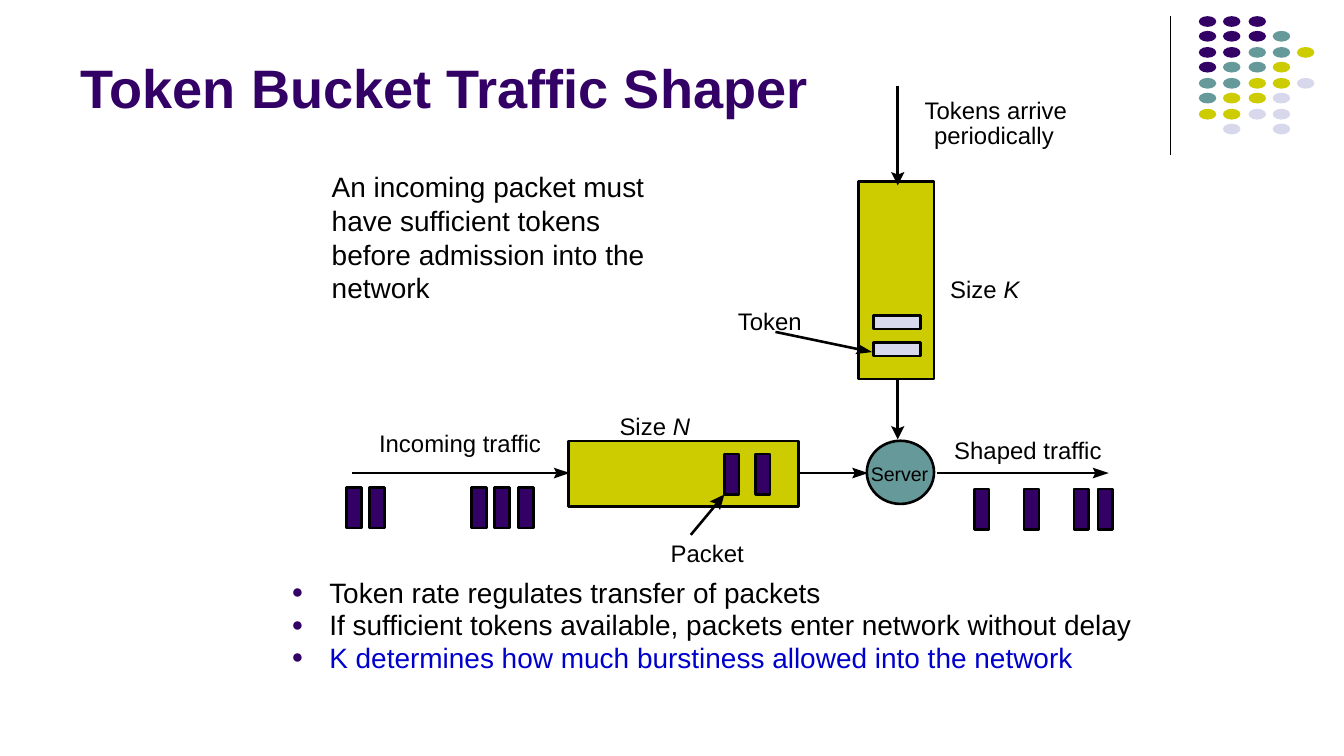
import math
from dataclasses import dataclass

import lxml.etree
import pptx
import pptx.dml.color
import pptx.enum.shapes
import pptx.enum.text
import pptx.oxml.ns
import pptx.util

SCALE = 9144
WIDTH = 1000
INK, PLUM, TEAL = "000000", "330066", "669999"
LIME, MIST, BLUE = "CCCC00", "D8D8EC", "0000CC"
LINE = 1.38
KIND = pptx.enum.shapes.MSO_SHAPE
ANCHOR = pptx.enum.text.MSO_ANCHOR
ALIGN = pptx.enum.text.PP_ALIGN
HUES = {"P": PLUM, "T": TEAL, "Y": LIME, "L": MIST}
DOTS = ["PPP", "PPPT", "PPTTY", "PTTY", "TTYYL", "TYYL", "YYLL", " L L"]


@dataclass
class Box:
    left: int
    top: int
    width: int
    height: int
    fill: str
    kind: int = KIND.RECTANGLE
    edge: bool = True


@dataclass
class Arrow:
    start: tuple[int, int]
    tip: tuple[int, int]
    length: int = 12
    half: int = 4


@dataclass
class Label:
    left: int
    top: int
    width: int
    text: str
    slant: str = ""
    size: float = 12.8


def px(count: float) -> int:
    return round(count * SCALE)


def paint(form, code: str) -> None:
    form.rgb = pptx.dml.color.RGBColor.from_string(code)


def apply(item, values: dict) -> None:
    for name, value in values.items():
        setattr(item, name, value)


def place(item, left: int, top: int, width: int, height: int) -> None:
    apply(item, {"left": px(left), "top": px(top),
                 "width": px(width), "height": px(height)})


def fill(shape, code: str) -> None:
    shape.shadow.inherit = False
    shape.fill.solid()
    paint(shape.fill.fore_color, code)
    shape.line.fill.background()


def stroke(line, width: float) -> None:
    line.width = pptx.util.Pt(width)
    paint(line.color, INK)


def write(para, text: str, size: float, code: str = INK, **style) -> None:
    run = para.add_run()
    run.text = text
    apply(run.font, {"name": "Arial", "size": pptx.util.Pt(size), **style})
    paint(run.font.color, code)


def draw_box(slide, box: Box) -> None:
    shape = slide.shapes.add_shape(
        box.kind, px(box.left), px(box.top), px(box.width), px(box.height))
    fill(shape, box.fill)
    if box.edge:
        stroke(shape.line, LINE)


def draw_line(slide, start: tuple, end: tuple, width: float) -> None:
    line = slide.shapes.add_connector(
        pptx.enum.shapes.MSO_CONNECTOR.STRAIGHT, *map(px, (*start, *end)))
    stroke(line.line, width)
    lxml.etree.SubElement(line._element.spPr, pptx.oxml.ns.qn("a:effectLst"))


def draw_arrow(slide, arrow: Arrow) -> None:
    (x, y), (tx, ty) = arrow.start, arrow.tip
    span = math.hypot(tx - x, ty - y)
    ux, uy = (tx - x) / span, (ty - y) / span

    def spot(back: float, side: float) -> tuple:
        return px(tx - ux * back - uy * side), px(ty - uy * back + ux * side)

    neck = arrow.length - 2
    draw_line(slide, arrow.start, (tx - ux * neck, ty - uy * neck), LINE)
    pen = slide.shapes.build_freeform(*spot(arrow.length, arrow.half), scale=1.0)
    pen.add_line_segments(
        [spot(neck, 0), spot(arrow.length, -arrow.half), spot(0, 0)], close=True)
    fill(pen.convert_to_shape(), INK)


def draw_label(slide, label: Label) -> None:
    item = slide.shapes.add_textbox(
        px(label.left), px(label.top), px(label.width), px(22))
    apply(item.text_frame, {
        "margin_left": 0, "margin_right": 0, "margin_top": 0,
        "margin_bottom": 0, "word_wrap": False})
    para = item.text_frame.paragraphs[0]
    write(para, label.text, label.size)
    if label.slant:
        write(para, label.slant, label.size, italic=True)


def add_mark(para) -> None:
    props = para._p.get_or_add_pPr()
    props.set("marL", str(px(28)))
    props.set("indent", str(px(-28)))
    for tag, name, value in (("buClr", "", ""), ("buSzPct", "val", "70000"),
                             ("buFont", "typeface", "Arial"),
                             ("buChar", "char", "●")):
        node = lxml.etree.SubElement(props, pptx.oxml.ns.qn("a:" + tag))
        if name:
            node.set(name, value)
        else:
            tint = lxml.etree.SubElement(node, pptx.oxml.ns.qn("a:srgbClr"))
            tint.set("val", PLUM)


def fill_text(slide) -> None:
    still = {"auto_size": pptx.enum.text.MSO_AUTO_SIZE.NONE, "word_wrap": True}
    title = slide.shapes.title
    place(title, 50, 10, 825, 84)
    apply(title.text_frame, {**still, "vertical_anchor": ANCHOR.BOTTOM})
    para = title.text_frame.paragraphs[0]
    para.alignment = ALIGN.LEFT
    write(para, "Token Bucket Traffic Shaper", 29, PLUM, bold=True)

    body = slide.placeholders[1]
    place(body, 207, 428, 675, 80)
    apply(body.text_frame, {**still, "vertical_anchor": ANCHOR.TOP})
    points = [
        ("Token rate regulates transfer of packets", INK),
        ("If sufficient tokens available, packets enter network without delay", INK),
        ("K determines how much burstiness allowed into the network", BLUE)]
    for rank, (text, code) in enumerate(points):
        para = body.text_frame.paragraphs[0] if rank == 0 else body.text_frame.add_paragraph()
        apply(para, {"line_spacing": 0.8, "space_before": pptx.util.Pt(3)})
        add_mark(para)
        write(para, text, 15, code)

    note = slide.shapes.add_textbox(px(237), px(121), px(257), px(111))
    apply(note.text_frame, {**still, "vertical_anchor": ANCHOR.MIDDLE})
    write(note.text_frame.paragraphs[0],
          "An incoming packet must have sufficient tokens before admission into the network", 15)


def main() -> None:
    deck = pptx.Presentation()
    apply(deck, {"slide_width": px(WIDTH), "slide_height": px(WIDTH * 9 / 16)})
    slide = deck.slides.add_slide(deck.slide_layouts[1])

    draw_line(slide, (871, 12), (871, 115), 0.75)
    for row, codes in enumerate(DOTS):
        for col, code in enumerate(codes):
            if code in HUES:
                draw_box(slide, Box(round(892 + 18.3 * col), round(12 + 11.45 * row),
                                    13, 8, HUES[code], KIND.OVAL, False))

    boxes = [Box(423, 328, 171, 49, LIME), Box(645, 328, 50, 47, TEAL, KIND.OVAL),
             Box(639, 135, 56, 147, LIME)]
    boxes += [Box(650, top, 35, 10, MIST) for top in (235, 255)]
    queues = {338: (539, 562), 363: (258, 275, 351, 368, 386),
              364: (725, 762, 799, 817)}
    boxes += [Box(left, top, 11, 30, PLUM)
              for top, lefts in queues.items() for left in lefts]
    for box in boxes:
        draw_box(slide, box)

    for arrow in (
            Arrow((262, 352), (424, 352)), Arrow((594, 352), (646, 352)),
            Arrow((697, 352), (825, 352)), Arrow((668, 64), (668, 138), 10, 5),
            Arrow((668, 283), (668, 327), 10, 5),
            Arrow((514, 398), (539, 368), 11, 5), Arrow((577, 247), (649, 262))):
        draw_arrow(slide, arrow)

    for label in (
            Label(282, 319, 121, "Incoming traffic"), Label(710, 324, 110, "Shaped traffic"),
            Label(461, 306, 53, "Size ", "N"), Label(707, 204, 52, "Size ", "K"),
            Label(688, 71, 107, "Tokens arrive"), Label(695, 90, 90, "periodically"),
            Label(648, 344, 43, "Server", size=10.5), Label(499, 401, 55, "Packet"),
            Label(549, 228, 48, "Token")):
        draw_label(slide, label)
    fill_text(slide)
    deck.save("out.pptx")


if __name__ == "__main__":
    main()
